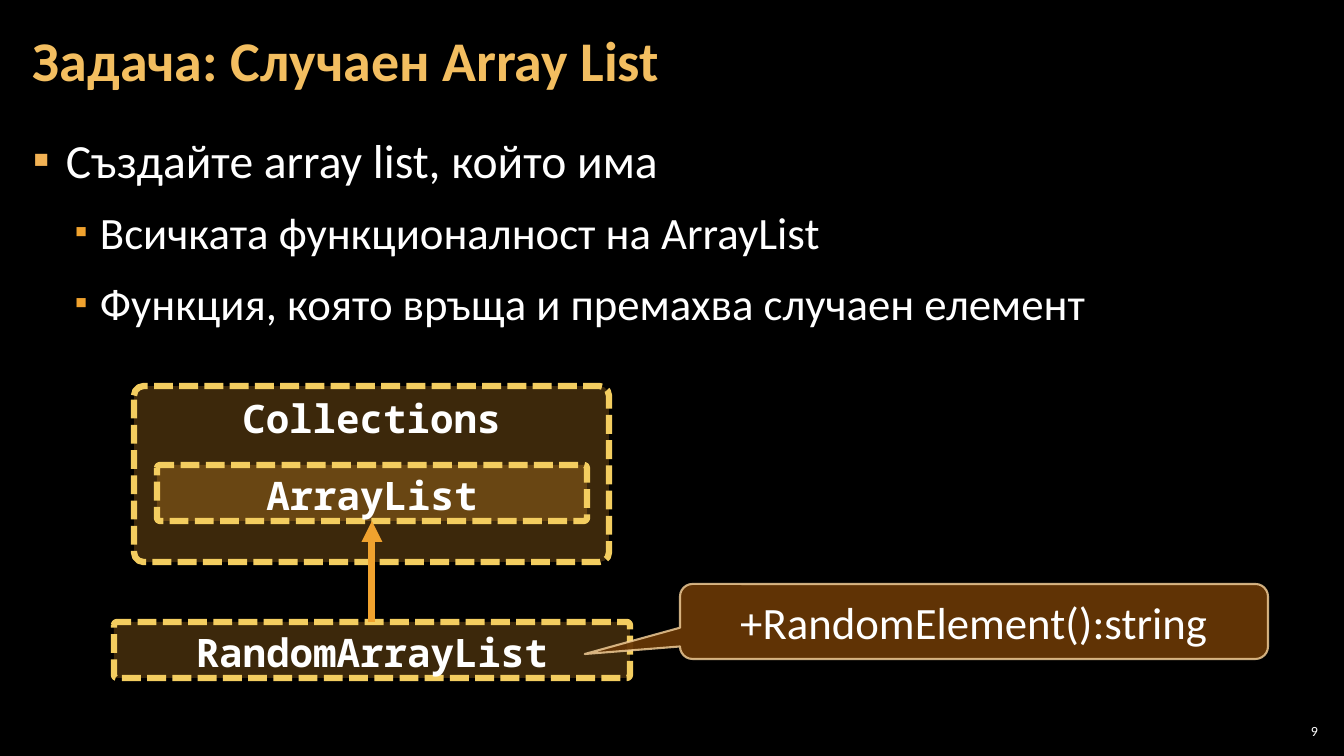
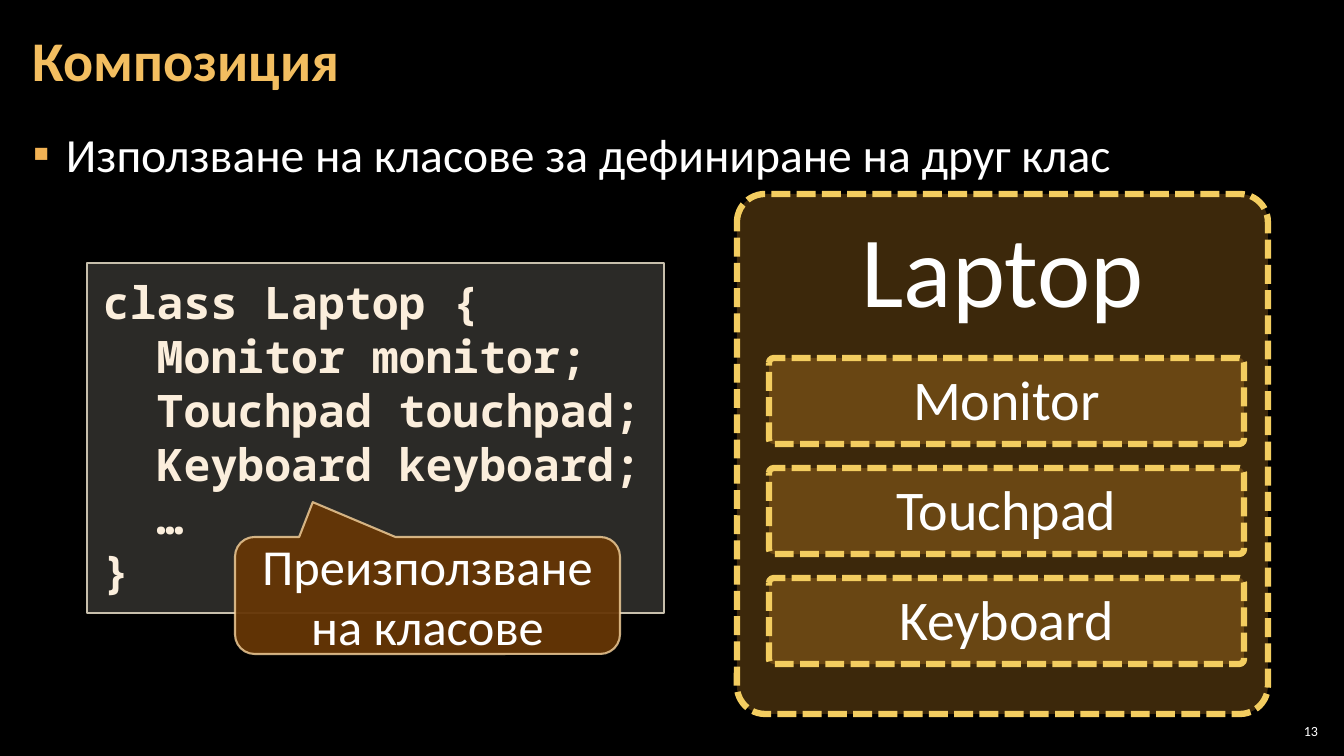
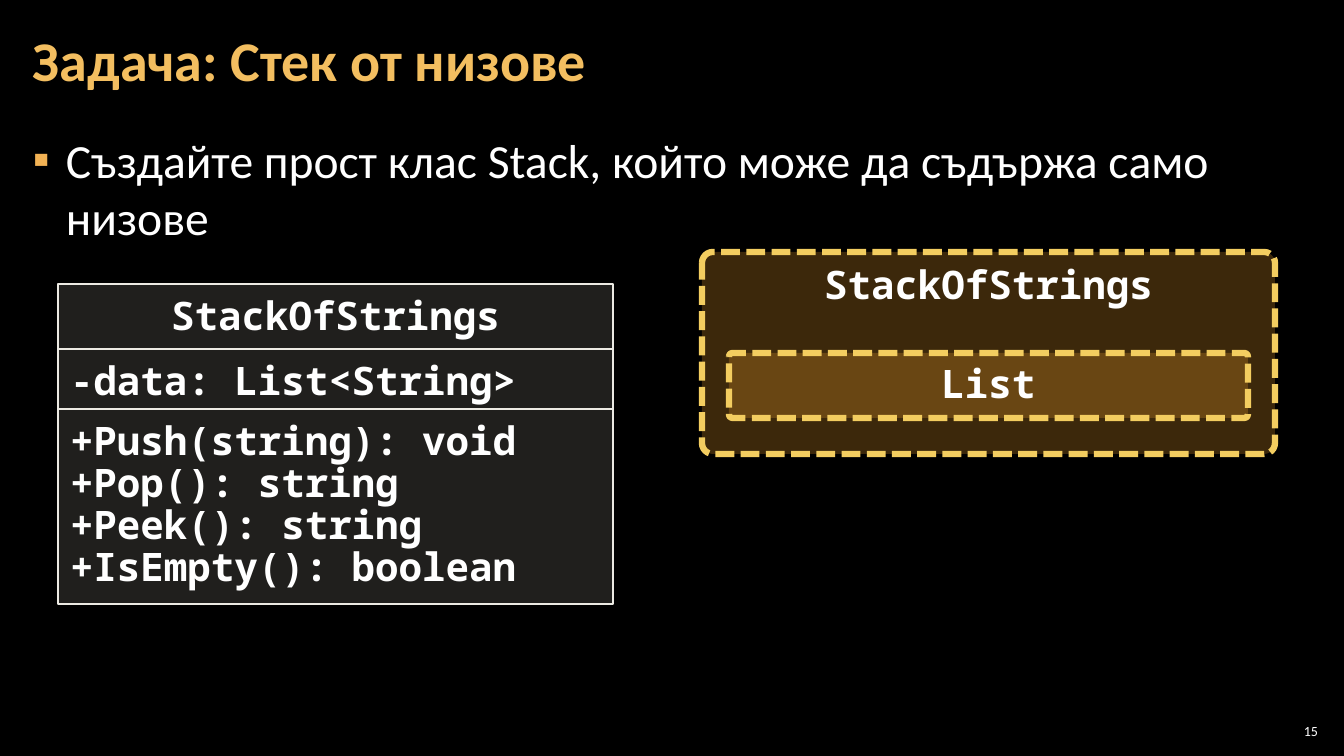
from lxml.etree import SubElement
from pptx import Presentation
from pptx.dml.color import RGBColor
from pptx.enum.dml import MSO_LINE
from pptx.enum.shapes import MSO_CONNECTOR, MSO_SHAPE
from pptx.enum.text import MSO_ANCHOR, MSO_AUTO_SIZE, PP_ALIGN
from pptx.oxml.ns import qn
from pptx.util import Emu, Pt

COLORS = {
    "black": "000000", "white": "FFFFFF", "title": "F3BE60",
    "bullet": "F2B254", "amber": "F0A22E", "dash": "F3CD60",
    "brown": "663606", "sand": "F8D49E", "stone": "D9D5C7",
    "code": "FBEEDC", "code_line": "C7BFAC", "uml_line": "ECEAE3",
}
SANS, MONO = "Calibri", "Noto Sans Mono"
LEFT, CENTER, RIGHT = PP_ALIGN.LEFT, PP_ALIGN.CENTER, PP_ALIGN.RIGHT
# Per list level: left margin, text size, bullet colour, bullet size in %
LEVELS = [(33, 33, 34, "bullet", 100), (67, 25, 32, "amber", 80)]


def px(n):
    return Emu(round(n * 914400 / 100.8))


def rgb(name):
    return RGBColor.from_string(COLORS[name])


def set_alpha(parent, percent):
    color = parent.find(qn("a:solidFill"))[0]
    SubElement(color, qn("a:alpha"), val=str(percent * 1000))


def write(tf, text, size=28, font=SANS, color="white", bold=False, align=CENTER,
          spacing=None, anchor=MSO_ANCHOR.TOP, insets=(10, 5)):
    """Fill a text frame, one paragraph per line of text."""
    tf.word_wrap = True
    tf.auto_size = MSO_AUTO_SIZE.NONE
    tf.vertical_anchor = anchor
    tf.margin_left = tf.margin_right = px(insets[0])
    tf.margin_top = tf.margin_bottom = px(insets[1])
    for i, line in enumerate(text.split("\n")):
        p = tf.add_paragraph() if i else tf.paragraphs[0]
        p.alignment = align
        if spacing:
            p.line_spacing = spacing
        r = p.add_run()
        r.text = line
        r.font.name, r.font.size, r.font.bold = font, Pt(size), bold
        r.font.color.rgb = rgb(color)


class Deck:
    def __init__(self):
        self.prs = Presentation()
        self.prs.slide_width, self.prs.slide_height = px(1344), px(756)
        fill = self.prs.slide_master.background.fill
        fill.solid()
        fill.fore_color.rgb = rgb("black")

    def slide(self, title, number, items, top=127, spacing=1.0):
        self.s = self.prs.slides.add_slide(self.prs.slide_layouts[1])
        # Title
        sp = self.s.shapes.title
        self.place(sp, 21, 4, 1055, 122)
        write(sp.text_frame, title, size=40, color="title", bold=True, align=LEFT,
              spacing=Pt(40), anchor=MSO_ANCHOR.MIDDLE, insets=(12, 4))
        # Bulleted list
        sp = self.s.placeholders[1]
        self.place(sp, 21, top, 1301, 614)
        write(sp.text_frame, "\n".join(text for _, text in items),
              align=LEFT, spacing=spacing, insets=(12, 4))
        for p, (level, _) in zip(sp.text_frame.paragraphs, items):
            self.bullet(p, level)
        # Slide number
        sp = self.s.shapes.add_textbox(px(1275), px(720), px(47), px(21))
        write(sp.text_frame, str(number), size=10, align=RIGHT,
              anchor=MSO_ANCHOR.MIDDLE, insets=(4, 4))

    def place(self, sp, x, y, w, h):
        sp.left, sp.top, sp.width, sp.height = px(x), px(y), px(w), px(h)

    def bullet(self, p, level):
        margin, hang, size, color, percent = LEVELS[level]
        p.level = level
        p.space_before = p.space_after = Pt(6)
        p.runs[0].font.size = Pt(size)
        pPr = p._p.get_or_add_pPr()
        pPr.set("marL", str(px(margin)))
        pPr.set("indent", str(px(-hang)))
        SubElement(SubElement(pPr, qn("a:buClr")), qn("a:srgbClr"), val=COLORS[color])
        SubElement(pPr, qn("a:buSzPct"), val=str(percent * 1000))
        SubElement(pPr, qn("a:buFont"), typeface=SANS)
        SubElement(pPr, qn("a:buChar"), char="▪")

    def shape(self, kind, at, fill, alpha, line, width, adj=(), into=None):
        shapes = (into or self.s).shapes
        sp = shapes.add_shape(kind, *map(px, at))
        sp.shadow.inherit = False
        for i, value in enumerate(adj):
            sp.adjustments[i] = value
        sp.fill.solid()
        sp.fill.fore_color.rgb = rgb(fill)
        set_alpha(sp.element.spPr, alpha)
        sp.line.color.rgb = rgb(line)
        sp.line.width = Pt(width)
        return sp

    def dashed(self, at, text, size=28, font=MONO):
        sp = self.shape(MSO_SHAPE.ROUNDED_RECTANGLE, at, "amber", 25, "dash", 4.5, [0.054])
        sp.line.dash_style = MSO_LINE.SQUARE_DOT
        write(sp.text_frame, text, size=size, font=font, bold=font == MONO)
        return sp

    def callout(self, at, text, size, tip):
        sp = self.shape(MSO_SHAPE.ROUNDED_RECTANGULAR_CALLOUT, at, "brown", 95,
                        "sand", 1.5, [*tip, 0.167])
        set_alpha(sp.element.spPr.find(qn("a:ln")), 80)
        write(sp.text_frame, text, size=size, anchor=MSO_ANCHOR.MIDDLE)

    def code(self, at, text):
        sp = self.shape(MSO_SHAPE.RECTANGLE, at, "stone", 20, "code_line", 1)
        write(sp.text_frame, text, size=32, font=MONO, color="code", bold=True,
              align=LEFT, insets=(16, 12))

    def uml(self, x, y, w, rows):
        group = self.s.shapes.add_group_shape()
        for h, align, text in rows:
            sp = self.shape(MSO_SHAPE.RECTANGLE, (x, y, w, h), "stone", 15,
                            "uml_line", 2, into=group)
            write(sp.text_frame, text, font=MONO, bold=True, align=align,
                  spacing=Pt(30), insets=(12, 12))
            y += h

    def arrow_up(self, lower, upper):
        c = self.s.shapes.add_connector(MSO_CONNECTOR.STRAIGHT, 0, 0, 0, 0)
        c.begin_connect(lower, 0)
        c.end_connect(upper, 2)
        c.line.color.rgb = rgb("amber")
        c.line.width = Pt(5)
        SubElement(c.line._get_or_add_ln(), qn("a:tailEnd"), type="triangle")
        SubElement(c._element.spPr, qn("a:effectLst"))


def main():
    deck = Deck()

    # Inheritance task
    deck.slide("Задача: Случаен Array List", 9, [
        (0, "Създайте array list, който има"),
        (1, "Всичката функционалност на ArrayList"),
        (1, "Функция, която връща и премахва случаен елемент"),
    ])
    deck.dashed((134, 386, 475, 176), "Collections")
    base = deck.dashed((157, 465, 430, 56), "ArrayList")
    child = deck.dashed((114, 622, 516, 56), "RandomArrayList")
    deck.arrow_up(child, base)
    deck.callout((680, 584, 588, 75), "+RandomElement():string", 32, (-0.662, 0.434))

    # Composition
    deck.slide("Композиция", 13,
               [(0, "Използване на класове за дефиниране на друг клас")],
               top=118, spacing=1.05)
    deck.code((87, 263, 577, 350),
              "class Laptop {\n  Monitor monitor;\n  Touchpad touchpad;\n"
              "  Keyboard keyboard;\n  …\n}")
    deck.callout((235, 537, 385, 117), "Преизползване на класове", 36, (-0.298, -0.798))
    deck.dashed((737, 194, 531, 520), "Laptop", 72, SANS)
    for i, part in enumerate(["Monitor", "Touchpad", "Keyboard"]):
        deck.dashed((769, 358 + 110 * i, 475, 86), part, 40, SANS)

    # Stack task
    deck.slide("Задача: Стек от низове", 15,
               [(0, "Създайте прост клас Stack, който може да съдържа само низове")])
    deck.uml(58, 284, 555, [
        (65, CENTER, "StackOfStrings"),
        (60, LEFT, "-data: List<String>"),
        (195, LEFT, "+Push(string): void\n+Pop(): string\n"
                    "+Peek(): string\n+IsEmpty(): boolean"),
    ])
    deck.dashed((702, 252, 573, 202), "StackOfStrings")
    deck.dashed((729, 353, 519, 65), "List")

    deck.prs.save("out.pptx")


if __name__ == "__main__":
    main()
